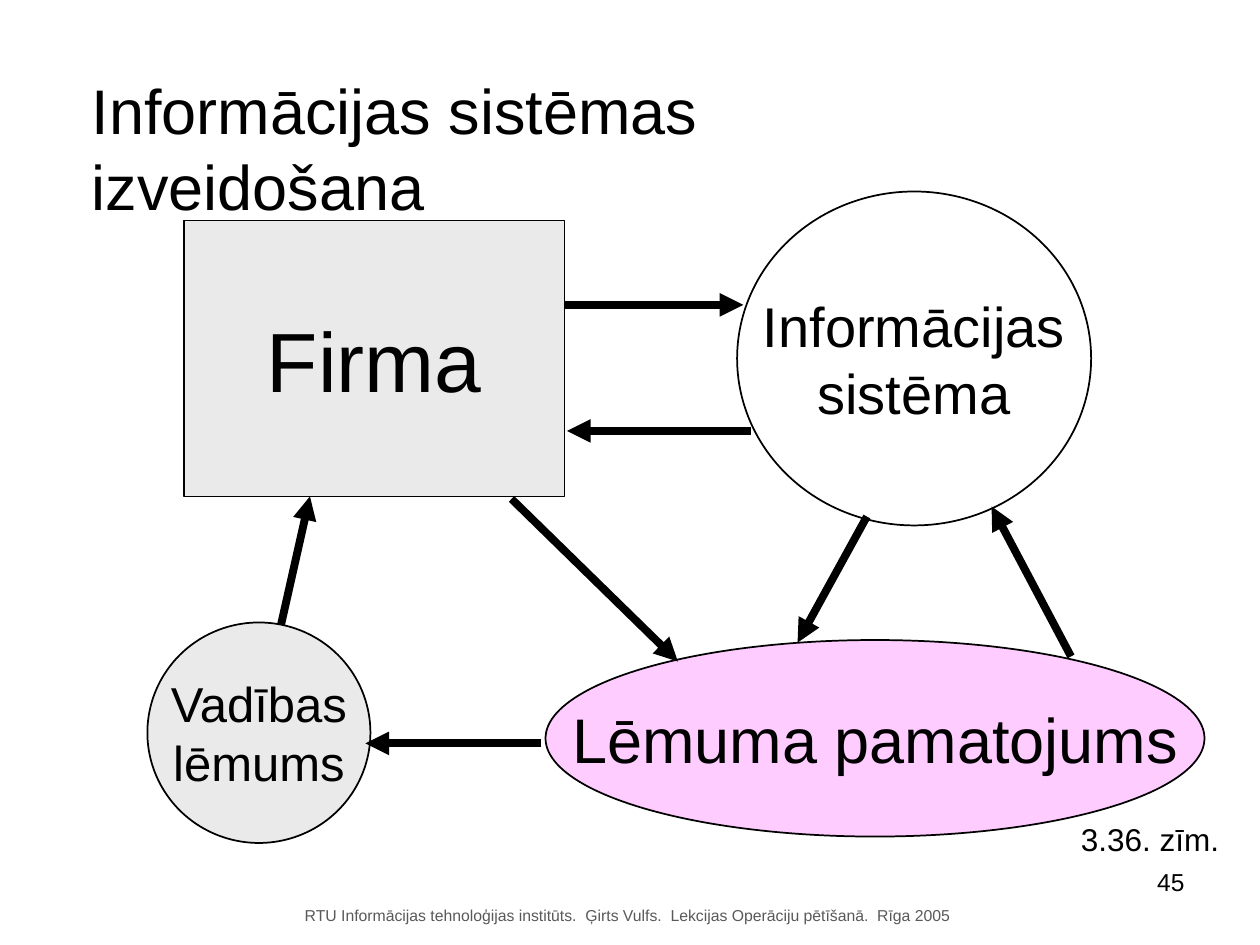
from lxml import etree
from pptx import Presentation
from pptx.dml.color import RGBColor
from pptx.enum.shapes import MSO_CONNECTOR, MSO_SHAPE
from pptx.enum.text import MSO_ANCHOR, PP_ALIGN
from pptx.oxml.ns import qn
from pptx.util import Inches, Pt

BLACK = RGBColor(0x00, 0x00, 0x00)
WHITE = RGBColor(0xFF, 0xFF, 0xFF)
LIGHT_GRAY = RGBColor(0xEA, 0xEA, 0xEA)
DARK_GRAY = RGBColor(0x59, 0x59, 0x59)
PINK = RGBColor(0xFF, 0xCC, 0xFF)
RECT, OVAL = MSO_SHAPE.RECTANGLE, MSO_SHAPE.OVAL

# Nodes: preset, (left, top, width, height), fill, size, lines
NODES = [
    (RECT, (1.46, 1.75, 3.02, 2.19), LIGHT_GRAY, 48, ["Firma"]),
    (OVAL, (5.85, 1.52, 2.81, 2.65), WHITE, 32, ["Informācijas", "sistēma"]),
    (OVAL, (4.33, 5.08, 5.23, 1.56), PINK, 36, ["Lēmuma pamatojums"]),
    (OVAL, (1.17, 4.94, 1.77, 1.75), LIGHT_GRAY, 28, ["Vadības", "lēmums"]),
]

# Arrows: start x, start y, end x, end y
ARROWS = [
    (4.48, 2.42, 5.9, 2.42),    # company to information system
    (5.96, 3.42, 4.5, 3.42),    # and back
    (6.88, 4.1, 6.33, 5.1),     # information system to justification
    (8.5, 5.21, 7.87, 4.02),    # and back
    (4.06, 3.96, 5.38, 5.25),   # company to justification
    (4.29, 5.9, 2.9, 5.9),      # justification to management decision
    (2.23, 4.96, 2.46, 3.94),   # management decision to company
]

# Labels: (left, top, width, height), size, colour, alignment, text
LABELS = [
    ((0.63, 0.52, 7.78, 0.7), 36, BLACK, PP_ALIGN.LEFT,
     "Informācijas sistēmas izveidošana"),
    ((8.48, 6.46, 1.3, 0.4), 18, BLACK, PP_ALIGN.LEFT, "3.36. zīm."),
    ((8.7, 6.83, 0.8, 0.52), 14, BLACK, PP_ALIGN.RIGHT, "45"),
    ((2.32, 7.14, 5.33, 0.25), 9, DARK_GRAY, PP_ALIGN.LEFT,
     "RTU Informācijas tehnoloģijas institūts.  Ģirts Vulfs.  "
     "Lekcijas Operāciju pētīšanā.  Rīga 2005"),
]


def write_text(shape, lines, size, color, alignment):
    frame = shape.text_frame
    frame.word_wrap = False
    frame.text = "\n".join(lines)
    for paragraph in frame.paragraphs:
        paragraph.alignment = alignment
        paragraph.font.name = "Arial"
        paragraph.font.size = Pt(size)
        paragraph.font.color.rgb = color


def add_node(slide, preset, box, fill, size, lines):
    shape = slide.shapes.add_shape(preset, *map(Inches, box))
    shape.shadow.inherit = False
    shape.fill.solid()
    shape.fill.fore_color.rgb = fill
    shape.line.color.rgb = BLACK
    shape.line.width = Pt(1)
    shape.text_frame.vertical_anchor = MSO_ANCHOR.MIDDLE
    write_text(shape, lines, size, BLACK, PP_ALIGN.CENTER)


def add_arrow(slide, points):
    arrow = slide.shapes.add_connector(MSO_CONNECTOR.STRAIGHT, *map(Inches, points))
    arrow.line.color.rgb = BLACK
    arrow.line.width = Pt(4.5)
    etree.SubElement(arrow.line._get_or_add_ln(), qn("a:tailEnd"), type="triangle")
    etree.SubElement(arrow._element.spPr, qn("a:effectLst"))


def main():
    presentation = Presentation()
    presentation.slide_width, presentation.slide_height = Inches(10), Inches(7.5)
    slide = presentation.slides.add_slide(presentation.slide_layouts[6])

    # Diagram
    for node in NODES:
        add_node(slide, *node)
    for points in ARROWS:
        add_arrow(slide, points)

    # Title, figure number, page number and footer
    for box, size, color, alignment, text in LABELS:
        label = slide.shapes.add_textbox(*map(Inches, box))
        write_text(label, [text], size, color, alignment)

    presentation.save("out.pptx")


if __name__ == "__main__":
    main()
